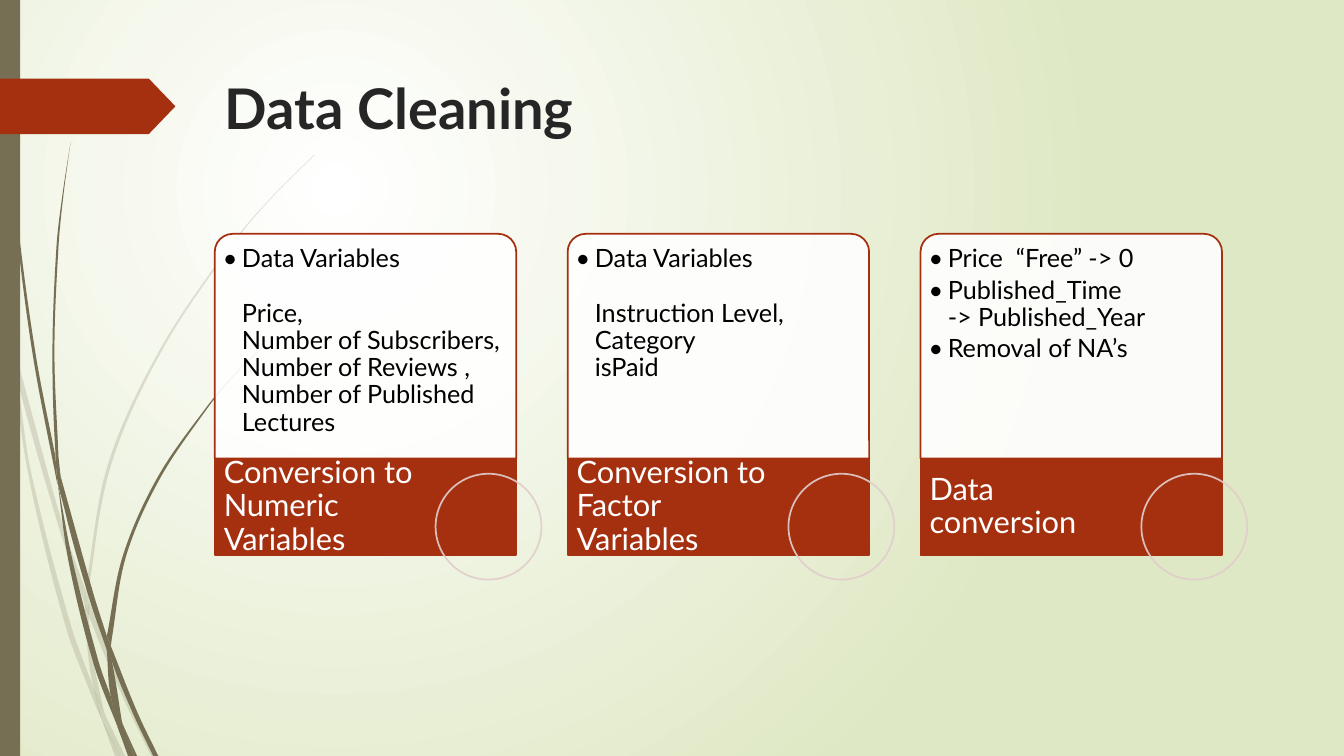
from dataclasses import dataclass
from math import hypot

from lxml import etree
from pptx import Presentation
from pptx.dml.color import RGBColor
from pptx.enum import shapes, text
from pptx.oxml.ns import qn
from pptx.util import Inches, Pt

RUST = RGBColor(0xA5, 0x30, 0x10)
OLIVE = RGBColor(0x76, 0x6F, 0x54)
PALE_GREEN = RGBColor(0xDF, 0xE8, 0xC4)
PALE_PINK = RGBColor(0xE1, 0xCD, 0xCC)
CHARCOAL = RGBColor(0x26, 0x26, 0x26)
WHITE, BLACK = RGBColor(0xFF, 0xFF, 0xFF), RGBColor(0, 0, 0)
FONT = "Lato"
Box = tuple[float, float, float, float]
Edge = list[tuple[float, float]]


@dataclass
class Item:
    """One paragraph of a card."""
    words: str
    bullet: bool = True
    space_after: float = 3


@dataclass
class Card:
    """A cleaning step: its details and the caption below them."""
    caption: str
    items: list[Item]


# Each piece of grass lies between an edge going down and an edge going up.
FAINT_GRASS: list[tuple[Edge, Edge]] = [
    ([(0, 2.82), (0, 2.99), (0.11, 3.5)], [(0.09, 3.22), (0, 2.82)]),
    ([(0.14, 3.45), (0.17, 3.76), (0.58, 5.22), (0.84, 5.99)], [(0.85, 5.86), (0.62, 5.2), (0.14, 3.45)]),
    ([(0.88, 5.96), (0.88, 6.1), (1.23, 6.94), (1.5, 7.5)], [(1.55, 7.5), (1.27, 6.92), (0.88, 5.96)]),
    ([(1.05, 7.11), (1.19, 7.5)], [(1.24, 7.5), (1.05, 7.11)]),
    ([(0.11, 3.5), (0.28, 4.7), (0.65, 6.21), (0.92, 6.93), (1.01, 7.14)],
     [(0.93, 6.83), (0.7, 6.19), (0.31, 4.69), (0.17, 3.76), (0.11, 3.5)]),
    ([(0.84, 5.99), (0.87, 6.46), (0.93, 6.83), (1.05, 7.11)], [(1.03, 7.06), (0.91, 6.46), (0.88, 6.08)]),
    ([(3.12, 1.53), (2.68, 1.97), (2.28, 2.44), (1.58, 3.48), (1.07, 4.61), (0.85, 5.84)],
     [(0.88, 5.96), (0.88, 5.84), (1.1, 4.62), (1.6, 3.49), (2.29, 2.45), (2.68, 1.98), (3.12, 1.54)]),
    ([(1.01, 7.14), (1.14, 7.5)], [(1.19, 7.5), (1.01, 7.14)]),
    ([(0.85, 5.86), (0.84, 5.99), (0.88, 6.1)], [(0.88, 5.96), (0.85, 5.86)]),
    ([(0.93, 6.83), (1.01, 7.14), (1.19, 7.5)], [(1.05, 7.11), (0.93, 6.83)]),
]
DARK_GRASS: list[tuple[Edge, Edge]] = [
    ([(0.03, 0), (0.07, 1.1), (0.17, 2.33), (0.33, 3.55), (0.57, 4.81)],
     [(0.55, 4.53), (0.36, 3.55), (0.19, 2.32), (0.08, 1.09), (0.04, 0)]),
    ([(0.6, 4.72), (0.64, 5.05), (0.88, 5.92), (1.06, 6.45)], [(1.06, 6.31), (0.93, 5.9), (0.6, 4.72)]),
    ([(1.1, 6.41), (1.11, 6.56), (1.32, 7.08), (1.52, 7.5)], [(1.57, 7.5), (1.36, 7.06), (1.1, 6.41)]),
    ([(0.57, 4.77), (0.68, 5.57), (0.93, 6.59), (1.17, 7.22)],
     [(1.1, 6.91), (0.98, 6.57), (0.72, 5.56), (0.57, 4.77)]),
    ([(0.7, 1.41), (0.62, 1.93), (0.56, 2.45), (0.52, 3.49), (0.55, 4.49), (0.6, 4.72)],
     [(0.58, 4.53), (0.54, 3.49), (0.58, 2.45), (0.63, 1.93), (0.7, 1.41)]),
    ([(1.22, 7.19), (1.33, 7.5)], [(1.36, 7.5), (1.22, 7.19)]),
    ([(0.55, 4.49), (0.57, 4.77), (0.64, 5.05)], [(0.6, 4.72), (0.55, 4.49)]),
    ([(2.6, 3.44), (2.31, 3.73), (2.04, 4.05), (1.56, 4.74), (1.22, 5.51), (1.06, 6.31)],
     [(1.1, 6.41), (1.11, 6.33), (1.25, 5.52), (1.58, 4.76), (2.05, 4.06), (2.31, 3.74), (2.61, 3.44)]),
    ([(1.17, 7.22), (1.27, 7.5)], [(1.31, 7.5), (1.17, 7.22)]),
    ([(1.06, 6.45), (1.1, 6.91), (1.22, 7.19)], [(1.21, 7.16), (1.11, 6.56), (1.06, 6.45)]),
    ([(1.06, 6.31), (1.06, 6.45), (1.11, 6.56)], [(1.1, 6.41), (1.06, 6.31)]),
    ([(1.1, 6.91), (1.17, 7.22), (1.3, 7.5)], [(1.33, 7.5), (1.22, 7.19), (1.1, 6.91)]),
]
CARDS = [
    Card("Conversion to Numeric Variables",
         [Item("Data Variables", space_after=19.5),
          Item("Price,\vNumber of Subscribers,\vNumber of Reviews , Number of Published Lectures", False)]),
    Card("Conversion to Factor Variables",
         [Item("Data Variables", space_after=19.5),
          Item("Instruction Level,  Category\visPaid", False)]),
    Card("Data conversion",
         [Item("Price  “Free” -> 0"), Item("Published_Time\v-> Published_Year"), Item("Removal of NA’s")]),
]
CARD_LEFT, CARD_TOP, CARD_PITCH, CARD_WIDTH = 2.13, 2.32, 3.5, 2.99
DETAIL_HEIGHT, CAPTION_HEIGHT = 2.23, 0.96


def set_opacity(color_format_parent, percent: int) -> None:
    """Set the opacity of the solid colour held by an XML element."""
    color = color_format_parent.find(qn("a:solidFill")).find(qn("a:srgbClr"))
    etree.SubElement(color, qn("a:alpha")).set("val", str(percent * 1000))


def paint(shape, fill: RGBColor | None = None, line: RGBColor | None = None) -> None:
    """Give a shape a plain fill and line, without shadow."""
    shape.shadow.inherit = False
    for target, color in ((shape.fill, fill), (shape.line.fill, line)):
        if color is None:
            target.background()
        else:
            target.solid()
            target.fore_color.rgb = color
    if line is not None:
        shape.line.width = Pt(1.25)


def add_preset(slide, kind, box: Box, fill=None, line=None):
    """Add a painted preset shape."""
    shape = slide.shapes.add_shape(kind, *map(Inches, box))
    paint(shape, fill, line)
    return shape


def handles(edge: Edge) -> list[Edge]:
    """Return the Bezier points of each segment of a smooth edge."""
    padded = [edge[0], *edge, edge[-1]]
    curves = []
    for a, b, c, d in zip(padded, padded[1:], padded[2:], padded[3:]):
        reach = hypot(c[0] - b[0], c[1] - b[1]) / 3
        before, after = hypot(c[0] - a[0], c[1] - a[1]), hypot(d[0] - b[0], d[1] - b[1])
        curves.append([tuple(q + (r - p) * reach / before for p, q, r in zip(a, b, c)),
                       tuple(r - (s - q) * reach / after for q, r, s in zip(b, c, d)), c])
    return curves


def add_grass(slide, edges: tuple[Edge, Edge], opacity: int) -> None:
    """Draw one piece of grass, with curves in place of the straight segments."""
    down, up = edges
    outline = [(Inches(x), Inches(y)) for x, y in down + up]
    builder = slide.shapes.build_freeform(*outline[0])
    builder.add_line_segments(outline[1:], close=True)
    shape = builder.convert_to_shape()
    lines = list(shape._element.spPr.iter(qn("a:lnTo")))
    curved = lines[:len(down) - 1] + lines[len(down):]
    for line, points in zip(curved, handles(down) + handles(up)):
        curve = etree.Element(qn("a:cubicBezTo"))
        for x, y in points:
            etree.SubElement(curve, qn("a:pt"), {"x": str(Inches(x) - shape.left), "y": str(Inches(y) - shape.top)})
        line.getparent().replace(line, curve)
    paint(shape, OLIVE)
    if opacity < 100:
        set_opacity(shape._element.spPr, opacity)


def write(paragraph, words: str, *, size: float, color: RGBColor, bold: bool = False,
          line_spacing: float = 1, space_after: float = 0) -> None:
    """Write formatted text into a paragraph; a vertical tab breaks the line."""
    paragraph.text = words
    paragraph.alignment = text.PP_ALIGN.LEFT
    paragraph.line_spacing, paragraph.space_after = line_spacing, Pt(space_after)
    for run in paragraph.runs:
        run.font.name, run.font.size, run.font.bold = FONT, Pt(size), bold
        run.font.color.rgb = color


def add_frame(slide, box: Box, insets: Box, anchor=text.MSO_ANCHOR.TOP):
    """Add a wrapping text box and return its text frame."""
    frame = slide.shapes.add_textbox(*map(Inches, box)).text_frame
    frame.word_wrap, frame.vertical_anchor = True, anchor
    frame.margin_left, frame.margin_top, frame.margin_right, frame.margin_bottom = map(Inches, insets)
    return frame


def indent(paragraph, bullet: bool) -> None:
    """Indent a paragraph, with a hanging bullet if wanted."""
    properties = paragraph._p.get_or_add_pPr()
    properties.set("marL", str(Inches(0.19)))
    properties.set("indent", str(Inches(-0.19) if bullet else 0))
    if bullet:
        etree.SubElement(properties, qn("a:buFont")).set("typeface", FONT)
        etree.SubElement(properties, qn("a:buChar")).set("char", "•")


def add_card(slide, card: Card, left: float) -> None:
    """Draw a card with its details, caption and circle."""
    detail = add_preset(slide, shapes.MSO_SHAPE.ROUND_2_SAME_RECTANGLE,
                        (left, CARD_TOP, CARD_WIDTH, DETAIL_HEIGHT), WHITE, RUST)
    detail.adjustments[0] = 0.08
    set_opacity(detail._element.spPr, 90)
    frame = add_frame(slide, (left + 0.05, CARD_TOP + 0.05, 2.88, 2.18), (0.03, 0.07, 0.03, 0.03))
    for index, item in enumerate(card.items):
        paragraph = frame.add_paragraph() if index else frame.paragraphs[0]
        write(paragraph, item.words, size=18, color=BLACK, line_spacing=0.9, space_after=item.space_after)
        indent(paragraph, item.bullet)
    top = CARD_TOP + DETAIL_HEIGHT
    add_preset(slide, shapes.MSO_SHAPE.RECTANGLE, (left, top, CARD_WIDTH, CAPTION_HEIGHT), RUST, RUST)
    frame = add_frame(slide, (left, top, 2.1, CAPTION_HEIGHT), (0.09, 0, 0.03, 0), text.MSO_ANCHOR.MIDDLE)
    write(frame.paragraphs[0], card.caption, size=22, color=WHITE, line_spacing=0.9)
    circle = add_preset(slide, shapes.MSO_SHAPE.OVAL, (left + 2.19, top + 0.15, 1.05, 1.05), line=PALE_PINK)
    set_opacity(circle._element.spPr.find(qn("a:ln")), 90)


def set_background(slide) -> None:
    """Fill the background with a circular gradient around the upper left."""
    fill = slide.background.fill
    fill.gradient()
    for stop, color, position in zip(fill.gradient_stops, (WHITE, PALE_GREEN), (0, 1)):
        stop.color.rgb, stop.position = color, position
    gradient = slide._element.find(".//" + qn("a:gradFill"))
    gradient.remove(gradient.find(qn("a:lin")))
    circle = etree.Element(qn("a:path"), {"path": "circle"})
    etree.SubElement(circle, qn("a:fillToRect"), {"l": "50000", "t": "50000", "r": "100000", "b": "100000"})
    gradient.find(qn("a:gsLst")).addnext(circle)


def add_title(slide, words: str) -> None:
    """Place and format the slide title."""
    title = slide.shapes.title
    title.left, title.top, title.width, title.height = map(Inches, (2.13, 0.68, 10.45, 1.4))
    title.text_frame.auto_size = text.MSO_AUTO_SIZE.NONE
    title.text_frame.vertical_anchor = text.MSO_ANCHOR.TOP
    write(title.text_frame.paragraphs[0], words, size=40, color=CHARCOAL, bold=True)


presentation = Presentation()
presentation.slide_width, presentation.slide_height = Inches(13.33), Inches(7.5)
slide = presentation.slides.add_slide(presentation.slide_layouts[5])
set_background(slide)
for grass, opacity in ((FAINT_GRASS, 20), (DARK_GRASS, 100)):
    for edges in grass:
        add_grass(slide, edges, opacity)
add_preset(slide, shapes.MSO_SHAPE.RECTANGLE, (0, 0, 0.2, 7.5), OLIVE)
arrow = add_preset(slide, shapes.MSO_SHAPE.PENTAGON, (0, 0.78, 1.74, 0.55), RUST)
arrow.adjustments[0] = 0.48
add_title(slide, "Data Cleaning")
for column, card in enumerate(CARDS):
    add_card(slide, card, CARD_LEFT + column * CARD_PITCH)
presentation.save("out.pptx")
